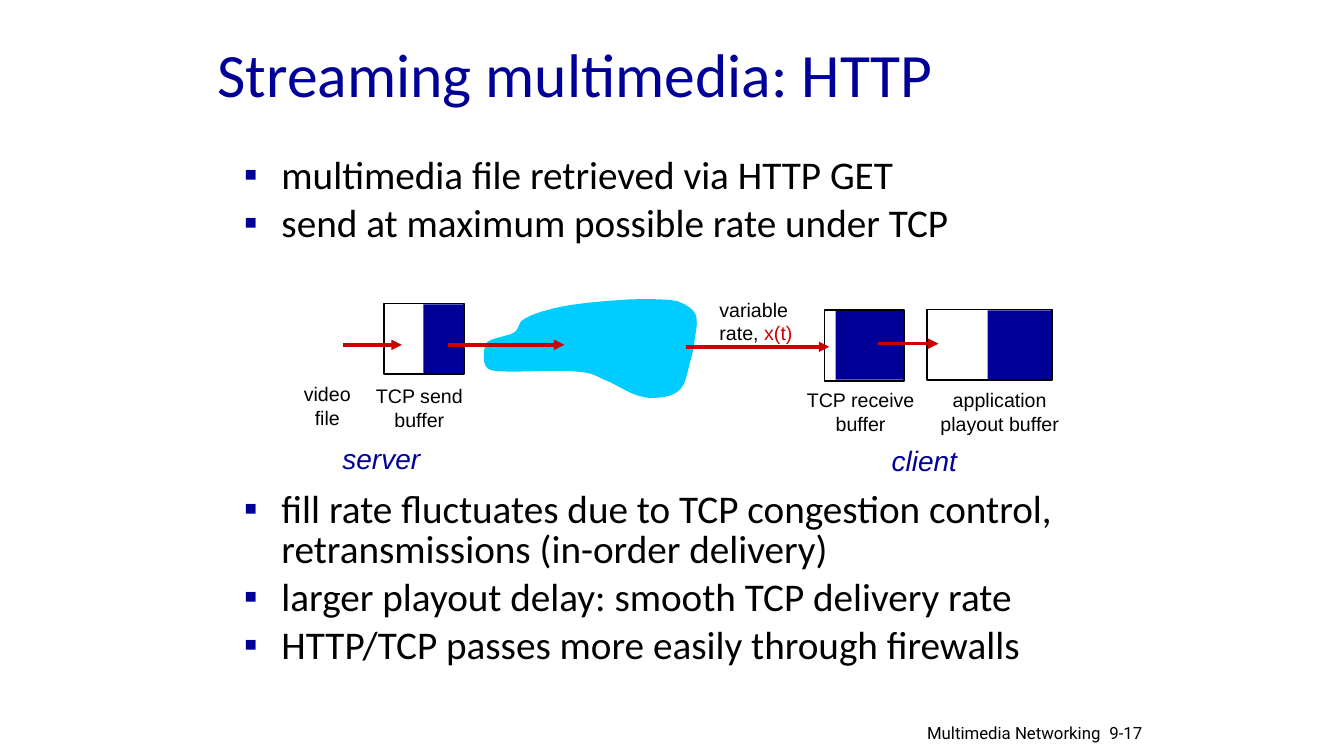
from lxml import etree
from pptx import Presentation
from pptx import util as u
from pptx.dml.color import RGBColor
from pptx.enum import shapes, text
from pptx.oxml import ns

Cm, Pt = u.Cm, u.Pt
NAVY, RED, CYAN, BLACK = "000099", "CC0000", "00CCFF", "000000"
LEFT, CENTER, RIGHT = text.PP_ALIGN.LEFT, text.PP_ALIGN.CENTER, text.PP_ALIGN.RIGHT

CLOUD_START = (134, 1)
CLOUD_CURVES = [
    ((120, 2), (96, 4), (80, 7)), ((65, 10), (51, 14), (42, 19)),
    ((34, 23), (37, 29), (31, 33)), ((25, 37), (9, 38), (4, 43)),
    ((0, 49), (0, 62), (3, 67)), ((7, 72), (12, 71), (27, 72)),
    ((42, 72), (78, 70), (94, 72)), ((110, 73), (113, 77), (123, 81)),
    ((133, 85), (146, 94), (155, 96)), ((164, 99), (173, 98), (180, 97)),
    ((186, 96), (192, 94), (197, 88)), ((201, 83), (203, 73), (205, 65)),
    ((207, 57), (209, 51), (210, 42)), ((211, 34), (214, 22), (211, 15)),
    ((208, 9), (201, 5), (193, 2)), ((184, 0), (170, 0), (160, 0)),
    ((150, 0), (147, 0), (134, 1)),
]


def rgb(value):
    return RGBColor.from_string(value)


def place(part, left, top, width, height):
    part.left, part.top, part.width, part.height = Cm(left), Cm(top), Cm(width), Cm(height)


def add_run(paragraph, words, size, font, color, italic=None):
    run = paragraph.add_run()
    run.text = words
    run.font.size = Pt(size)
    run.font.name = font
    run.font.italic = italic
    run.font.color.rgb = rgb(color)


def add_label(slide, box, lines, size=14, font="Arial", align=CENTER, italic=None, wrap=True):
    label = slide.shapes.add_textbox(*map(Cm, box))
    frame = label.text_frame
    frame.word_wrap = wrap
    for index, runs in enumerate(lines):
        paragraph = frame.add_paragraph() if index else frame.paragraphs[0]
        paragraph.alignment = align
        for words, color in runs:
            add_run(paragraph, words, size, font, color, italic)


def add_bullet(paragraph):
    properties = paragraph._p.get_or_add_pPr()
    properties.set("marL", str(Cm(0.95)))
    properties.set("indent", str(-Cm(0.95)))
    color = etree.SubElement(properties, ns.qn("a:buClr"))
    etree.SubElement(color, ns.qn("a:srgbClr"), val=NAVY)
    etree.SubElement(properties, ns.qn("a:buFont"), typeface="Arial")
    etree.SubElement(properties, ns.qn("a:buChar"), char="▪")


def add_title(slide, box, words):
    heading = slide.shapes.title
    place(heading, *box)
    frame = heading.text_frame
    frame.auto_size = text.MSO_AUTO_SIZE.NONE
    frame.vertical_anchor = text.MSO_ANCHOR.MIDDLE
    frame.paragraphs[0].alignment = LEFT
    add_run(frame.paragraphs[0], words, 44, "Calibri", NAVY)


def add_points(slide, box, points):
    body = slide.placeholders[1]
    place(body, *box)
    frame = body.text_frame
    frame.auto_size = text.MSO_AUTO_SIZE.NONE
    frame.vertical_anchor = text.MSO_ANCHOR.TOP
    for index, (words, gap) in enumerate(points):
        paragraph = frame.add_paragraph() if index else frame.paragraphs[0]
        add_bullet(paragraph)
        paragraph.alignment = LEFT
        paragraph.line_spacing = 0.85
        paragraph.space_before = Pt(gap)
        add_run(paragraph, words, 28, "Calibri", BLACK)


def add_box(slide, box, fill=None):
    part = slide.shapes.add_shape(shapes.MSO_SHAPE.RECTANGLE, *map(Cm, box))
    part.shadow.inherit = False
    if fill:
        part.fill.solid()
        part.fill.fore_color.rgb = rgb(fill)
        part.line.fill.background()
    else:
        part.fill.background()
        part.line.color.rgb = rgb(BLACK)
        part.line.width = Pt(1.25)


def add_buffer(slide, left, top, width, filled_from, filled_width):
    add_box(slide, (left, top, width, 1.78))
    add_box(slide, (left + filled_from, top + 0.02, filled_width, 1.73), NAVY)


def add_arrow(slide, start, end, y):
    arrow = slide.shapes.add_connector(
        shapes.MSO_CONNECTOR.STRAIGHT, Cm(start), Cm(y), Cm(end), Cm(y))
    arrow.line.color.rgb = rgb(RED)
    arrow.line.width = Pt(2.5)
    etree.SubElement(arrow.line._get_or_add_ln(), ns.qn("a:tailEnd"), type="triangle")
    etree.SubElement(arrow._element.spPr, ns.qn("a:effectLst"))


def curve_points(start, curves, steps=8):
    for first, second, end in curves:
        for step in range(1, steps + 1):
            t = step / steps
            s = 1 - t
            yield tuple(
                10 * (s**3 * a + 3 * s * s * t * b + 3 * s * t * t * c + t**3 * d)
                for a, b, c, d in zip(start, first, second, end))
        start = end


def add_cloud(slide, left, top):
    x, y = CLOUD_START
    builder = slide.shapes.build_freeform(10 * x, 10 * y, scale=float(Cm(0.00254)))
    builder.add_line_segments(list(curve_points(CLOUD_START, CLOUD_CURVES)), close=True)
    cloud = builder.convert_to_shape(Cm(left), Cm(top))
    cloud.shadow.inherit = False
    cloud.fill.solid()
    cloud.fill.fore_color.rgb = rgb(CYAN)
    cloud.line.fill.background()


def add_stream_diagram(slide, left, top):
    add_cloud(slide, left + 5.57, top + 0.04)
    for x, y, width, filled_from, filled_width in [
        (3.08, 0.15, 2.01, 0.99, 1.02),
        (14.18, 0.32, 2.01, 0.28, 1.7),
        (16.77, 0.3, 3.15, 1.52, 1.6),
    ]:
        add_buffer(slide, left + x, top + y, width, filled_from, filled_width)
    for start, end, y in [
        (2.04, 3.53, 1.19), (4.7, 7.62, 1.19), (10.7, 14.3, 1.24), (15.52, 17.05, 1.16),
    ]:
        add_arrow(slide, left + start, left + end, top + y)
    for x, y, width, lines in [
        (0, 2, 3.3, ["video", "file"]),
        (2.32, 2.05, 3.3, ["TCP send buffer"]),
        (13.44, 2.15, 3.3, ["TCP receive buffer"]),
        (16.64, 2.15, 3.91, ["application playout buffer"]),
    ]:
        add_label(slide, (left + x, top + y, width, 1.45), [[(line, BLACK)] for line in lines])
    add_label(slide, (left + 11.28, top - 0.13, 2.72, 1.47),
              [[("variable rate, ", BLACK), ("x(t)", RED)]], align=LEFT)
    for x, y, width, side in [(1.78, 3.5, 2.49, "server"), (15.62, 3.55, 2.18, "client")]:
        add_label(slide, (left + x, top + y, width, 1.12), [[(side, NAVY)]],
                  size=20, align=LEFT, italic=True, wrap=False)


def add_footer(slide, left, top):
    add_label(slide, (left, top, 5.49, 0.71), [[("Multimedia Networking", BLACK)]],
              size=12, font="Roboto", align=RIGHT)
    add_label(slide, (left + 5.21, top, 1.9, 0.76), [[("9-17", BLACK)]],
              size=12, font="Roboto", align=LEFT)


def main():
    deck = Presentation()
    deck.slide_width, deck.slide_height = Cm(33.87), Cm(19.05)
    slide = deck.slides.add_slide(deck.slide_layouts[1])
    add_title(slide, (5.23, 0.64, 22.71, 2.41), "Streaming multimedia: HTTP")
    add_points(slide, (5.89, 3.84, 21.59, 14.05), [
        ("multimedia file retrieved via HTTP GET", 0),
        ("send at maximum possible rate under TCP", 5.6),
        ("fill rate fluctuates due to TCP congestion control, "
         "retransmissions (in-order delivery)", 176),
        ("larger playout delay: smooth TCP delivery rate", 5.6),
        ("HTTP/TCP passes more easily through firewalls", 5.6),
    ])
    add_stream_diagram(slide, 6.6, 7.5)
    add_footer(slide, 22.5, 18.08)
    deck.save("out.pptx")


if __name__ == "__main__":
    main()
